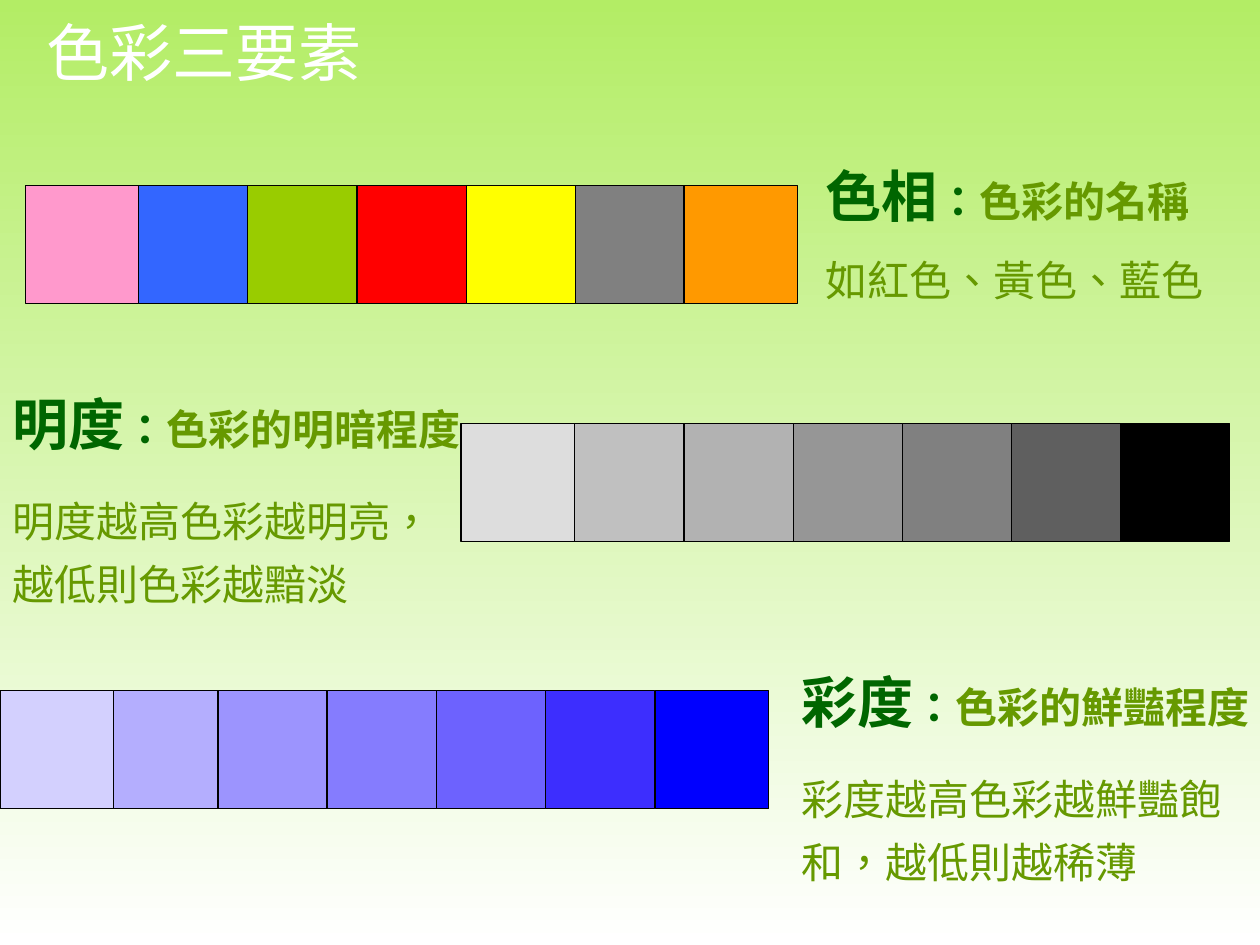
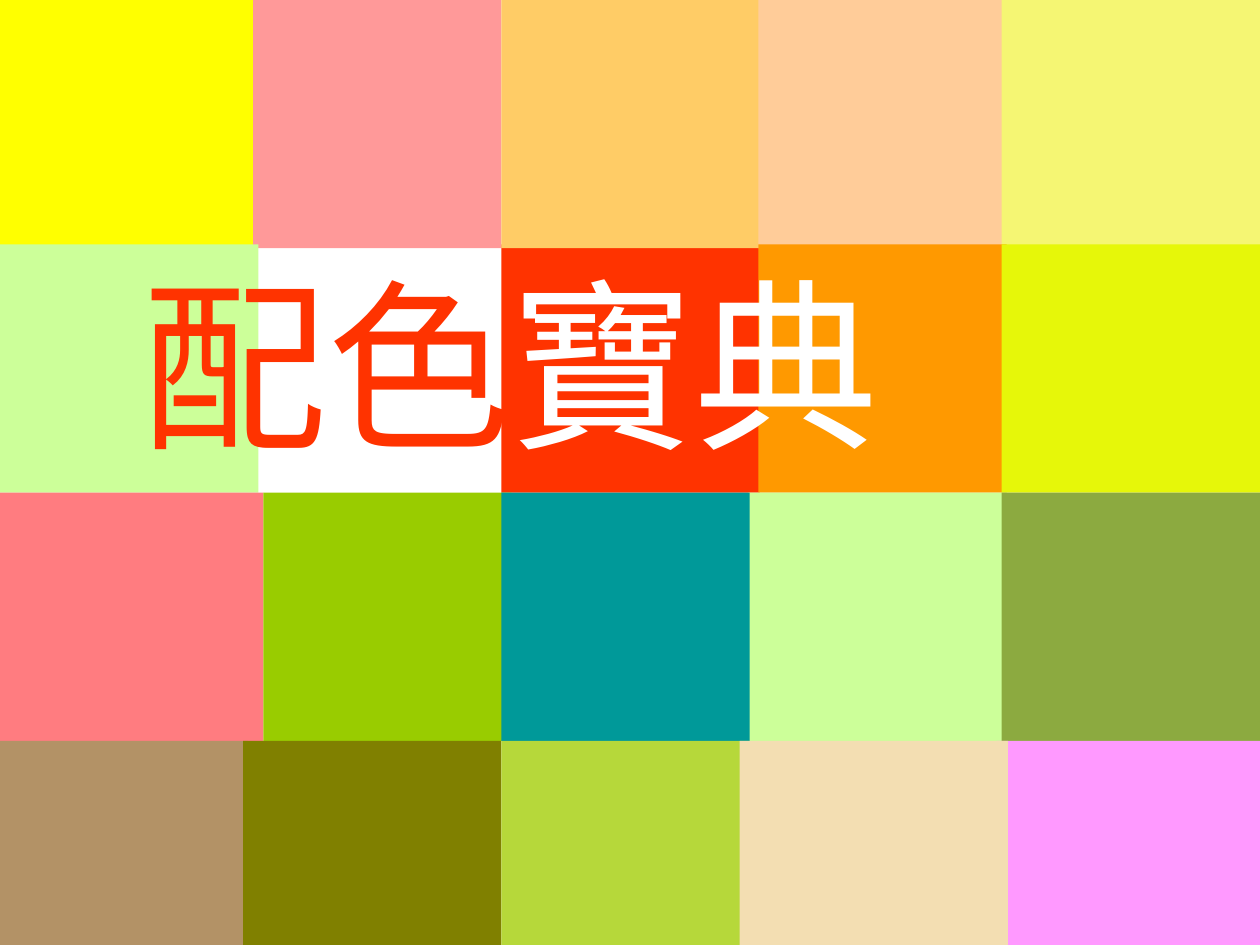
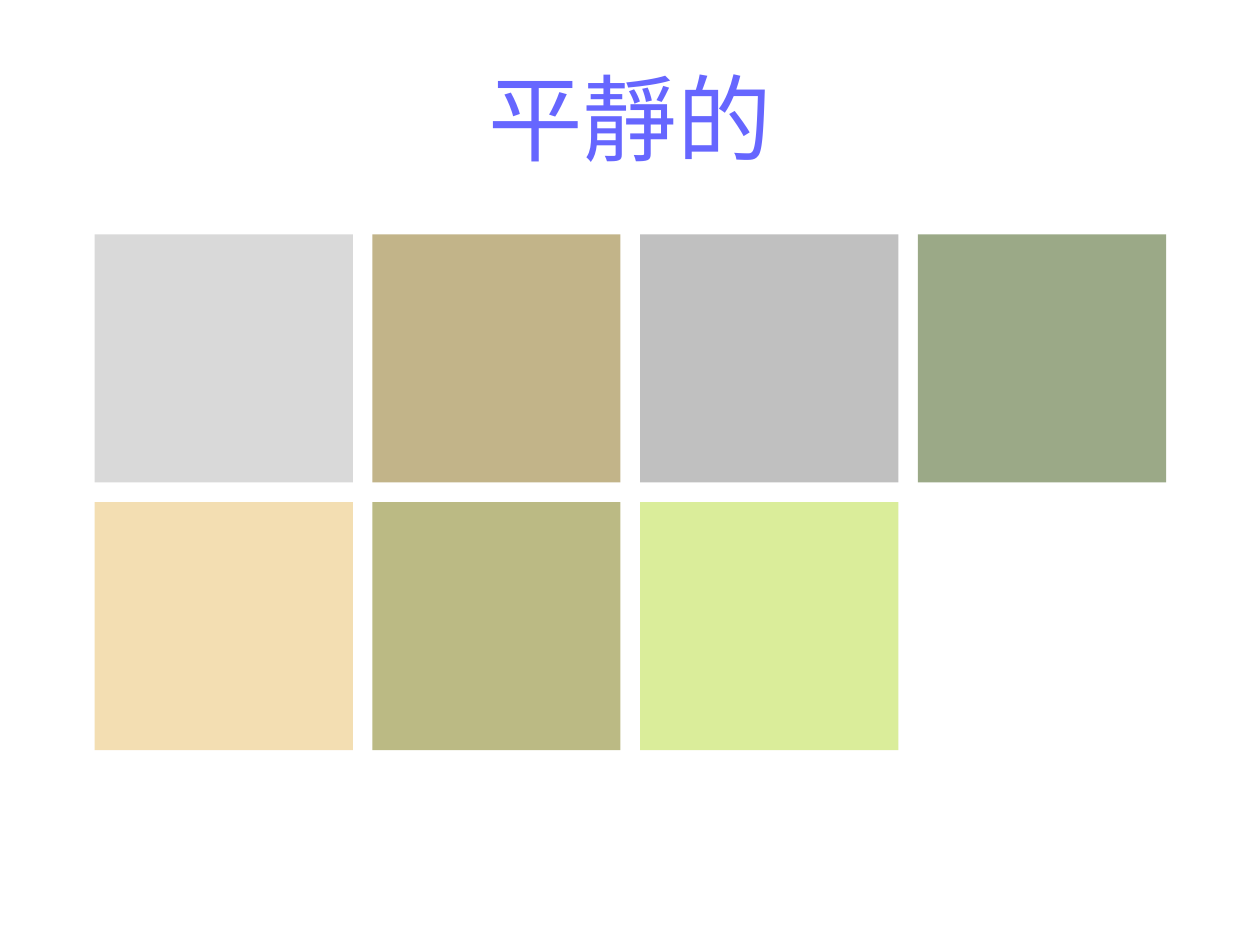
from itertools import accumulate

from pptx import Presentation
from pptx.dml.color import RGBColor
from pptx.enum.shapes import MSO_SHAPE
from pptx.enum.text import MSO_ANCHOR, MSO_AUTO_SIZE, PP_ALIGN
from pptx.util import Inches, Pt

COLORS = {
    "white": "FFFFFF", "black": "000000", "meadow": "B3ED65",
    "term": "006600", "caption": "669900", "red": "FF3300", "calm": "6666FF",
}
COLUMNS, ROWS = 100, 75
SQUARE = 19.7


def color(name):
    return RGBColor.from_string(COLORS.get(name, name))


class Deck:
    """Style and current slide; lengths are columns and rows of the grid."""

    font = "Arial"
    language = "zh-TW"

    def __init__(self):
        self.prs = Presentation()
        self.prs.slide_width, self.prs.slide_height = Inches(10), Inches(7.5)
        self.slide = None

    def box(self, left, top, width, height):
        col = self.prs.slide_width / COLUMNS
        row = self.prs.slide_height / ROWS
        return (round(left * col), round(top * row),
                round(width * col), round(height * row))

    def new_slide(self, *background):
        self.slide = self.prs.slides.add_slide(self.prs.slide_layouts[6])
        fill = self.slide.background.fill
        if len(background) == 1:
            fill.solid()
            fill.fore_color.rgb = color(background[0])
            return
        fill.gradient()
        fill.gradient_angle = 270
        for stop, position, name in zip(fill.gradient_stops, (0, 1), background):
            stop.position = position
            stop.color.rgb = color(name)

    def swatch(self, place, fill, outline=None, group=None):
        shapes = (group or self.slide).shapes
        swatch = shapes.add_shape(MSO_SHAPE.RECTANGLE, *self.box(*place))
        swatch.shadow.inherit = False
        swatch.fill.solid()
        swatch.fill.fore_color.rgb = color(fill)
        if outline:
            swatch.line.color.rgb = color(outline)
            swatch.line.width = Pt(0.75)
        else:
            swatch.line.fill.background()

    def scale(self, first, second, last, top, fills, reverse=False):
        """Seven outlined swatches, evenly stepped between the two end ones."""
        step = 8.67
        lefts = [first, *(second + i * step for i in range(len(fills) - 2)), last]
        swatches = list(zip(lefts, fills))
        group = self.slide.shapes.add_group_shape()
        for left, fill in reversed(swatches) if reverse else swatches:
            self.swatch((left, top, 9, 9.4), fill, "black", group)

    def add_runs(self, paragraph, runs):
        for words, size, name, bold in runs:
            run = paragraph.add_run()
            run.text = words
            run.font.name, run.font.size, run.font.bold = self.font, Pt(size), bold
            run.font.color.rgb = color(name)
            # The language picks the regional glyphs and punctuation
            run._r.get_or_add_rPr().set("lang", self.language)

    def text_frame(self, place):
        frame = self.slide.shapes.add_textbox(*self.box(*place)).text_frame
        frame.word_wrap = True
        return frame

    def title(self, place, runs, align=PP_ALIGN.CENTER, bottom=0.05):
        frame = self.text_frame(place)
        frame.vertical_anchor = MSO_ANCHOR.MIDDLE
        frame.margin_bottom = Inches(bottom)
        frame.paragraphs[0].alignment = align
        self.add_runs(frame.paragraphs[0], runs)

    def definition(self, place, term, meaning, detail, spacing=1.25, right=0.1):
        frame = self.text_frame(place)
        frame.auto_size = MSO_AUTO_SIZE.SHAPE_TO_FIT_TEXT
        frame.margin_right = Inches(right)
        self.add_runs(frame.paragraphs[0], [
            (term, 32, "term", True),
            ("：", 24, "term", True),
            (meaning, 24, "caption", True),
        ])
        explanation = frame.add_paragraph()
        explanation.space_before = Pt(15)
        explanation.line_spacing = spacing
        self.add_runs(explanation, [(detail, 24, "caption", False)])


def three_elements(deck):
    deck.new_slide("meadow", "white")
    deck.title((2, 2.1, 28.4, 4.7), [("色彩三要素", 36, "white", False)], bottom=0.12)

    # Definitions
    deck.definition((64.5, 12.3, 32.7, 12.4), "色相", "色彩的名稱",
                    "如紅色、黃色、藍色", spacing=1.0)
    deck.definition((0, 30.4, 38.2, 18.4), "明度", "色彩的明暗程度",
                    "明度越高色彩越明亮，越低則色彩越黯淡")
    deck.definition((62.6, 52.5, 37.4, 18.4), "彩度", "色彩的鮮豔程度",
                    "彩度越高色彩越鮮豔飽和，越低則越稀薄", right=0)

    # Hue, brightness and saturation scales
    deck.scale(2, 11, 54.3, 14.7,
               ["FF99CC", "3366FF", "99CC00", "FF0000", "FFFF00", "808080", "FF9900"])
    deck.scale(36.6, 45.3, 88.6, 33.6,
               ["DDDDDD", "C0C0C0", "B2B2B2", "969696", "808080", "5F5F5F", "000000"],
               reverse=True)
    deck.scale(0, 8.3, 52, 54.8,
               ["D3D0FE", "B4AEFE", "9C94FE", "857CFE", "6D62FE", "3D2EFE", "0000FF"],
               reverse=True)


def color_guide(deck):
    deck.new_slide("white")

    # Patchwork rows as (left, width, fill); later swatches overlap earlier ones
    patchwork = [
        (19.4, [(39.8, 20.5, "red")]),
        (0, [(0, 20.5, "FFFF00"), (20.1, 19.7, "FF9999"), (39.8, 20.5, "FFCC66"),
             (60.2, 19.7, "FFCC99"), (79.5, 20.5, "F5F673")]),
        (19.4, [(0, 20.5, "CCFF99"), (60.2, 19.7, "FF9900"), (79.5, 20.5, "E6F709")]),
        (39.1, [(0, 20.9, "FF7C80"), (20.9, 19.7, "99CC00"), (59.4, 20.5, "CCFF99"),
                (39.8, 19.7, "009999"), (79.5, 20.5, "8CAA40")]),
        (58.8, [(79.1, 20.9, "FF99FF"), (0, 19.7, "B39266"), (19.3, 20.5, "808000"),
                (39.8, 19.7, "B6D83A"), (58.7, 21.3, "F3DEB2")]),
    ]
    for top, swatches in patchwork:
        for left, width, fill in swatches:
            deck.swatch((left, top, width, SQUARE), fill)

    deck.title((10.4, 22.5, 90, 12.5),
               [("配色", 105, "red", False), ("寶典", 105, "white", False)],
               align=PP_ALIGN.LEFT)


def calm_palette(deck):
    deck.new_slide("white")
    deck.title((5, 3, 90, 12.5), [("平靜的", 54, "calm", False)])

    # Palette grid
    gap = 1.55
    widths = [20.5, 19.7, 20.5, 19.7]
    lefts = list(accumulate((width + gap for width in widths), initial=7.5))
    palette = [["D9D9D9", "C2B489", "C0C0C0", "9BA987"],
               ["F3DEB2", "BBBA84", "DAED9A"]]
    for row, fills in enumerate(palette):
        top = 18.6 + row * (SQUARE + gap)
        for left, width, fill in zip(lefts, widths, fills):
            deck.swatch((left, top, width, SQUARE), fill)


def main():
    deck = Deck()
    three_elements(deck)
    color_guide(deck)
    calm_palette(deck)
    deck.prs.save("out.pptx")


if __name__ == "__main__":
    main()
